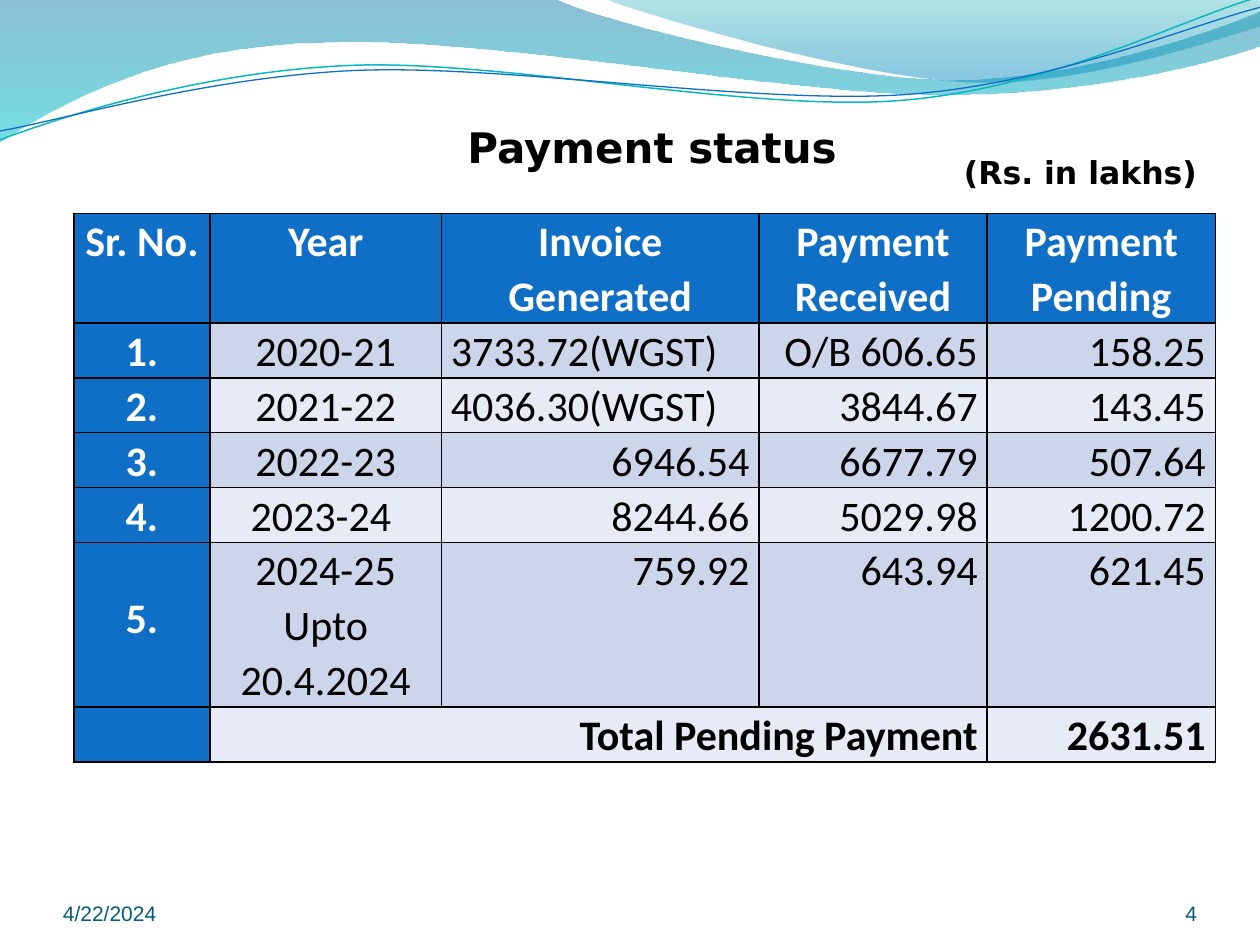
"""Build the payment status slide with its wave banner and invoice table."""
from lxml.etree import SubElement
from pptx import Presentation
from pptx.dml.color import RGBColor
from pptx.enum.text import MSO_ANCHOR, PP_ALIGN
from pptx.oxml import parse_xml
from pptx.oxml.ns import nsdecls, qn
from pptx.util import Cm, Pt

LEFT, CENTER, RIGHT = PP_ALIGN.LEFT, PP_ALIGN.CENTER, PP_ALIGN.RIGHT
BLUE, BLACK, WHITE, TEAL = "0F6FC6", "000000", "FFFFFF", "045D75"
BANDS = ("E7EBF5", "CCD5EA")

HEADINGS = ["Sr. No.", "Year", "Invoice Generated", "Payment Received", "Payment Pending"]
PAYMENTS = [
    ["1.", "2020-21", "3733.72(WGST)", "O/B 606.65", "158.25"],
    ["2.", "2021-22", "4036.30(WGST)", "3844.67", "143.45"],
    ["3.", "2022-23", "6946.54", "6677.79", "507.64"],
    ["4.", "2023-24 ", "8244.66", "5029.98", "1200.72"],
    ["5.", "2024-25\nUpto 20.4.2024", "759.92", "643.94", "621.45"],
]
TOTAL = ["", "Total Pending Payment", "", "", "2631.51"]
COLUMN_WIDTHS = [2.74, 4.67, 6.4, 4.6, 4.6]
ROW_LINES = [2, 1, 1, 1, 1, 3, 1]
LINE_HEIGHT = 1.1

CAPTIONS = [
    ("4/22/2024", (1.27, 17.65, 5.92, 1.02), 12, "Arial", TEAL, LEFT, MSO_ANCHOR.BOTTOM, 0),
    ("4", (22.02, 17.65, 2.11, 1.02), 12, "Arial", TEAL, RIGHT, MSO_ANCHOR.BOTTOM, 0),
    ("Payment status", (4.6, 2.32, 17.09, 1.27), 24, "DejaVu Sans", BLACK, CENTER, MSO_ANCHOR.MIDDLE, 0.25),
    ("(Rs. in lakhs)", (19.02, 2.97, 5.36, 1.02), 18, "DejaVu Sans", BLACK, RIGHT, MSO_ANCHOR.TOP, 0.25),
]

WAVES = [
    ([(0, -0.03), (11.18, -0.03), (12.09, 0.43, 16.87, 1.6, 19.25, 1.6),
      (21.67, 1.6, 24.33, 0.66, 25.4, 0.23), (25.43, 0.91),
      (24.97, 1.12, 22.1, 1.93, 18.95, 1.91), (15.8, 1.91, 9.7, 0.71, 6.53, 0.86),
      (3.28, 0.89, 1.17, 2.11, -0.03, 2.87)],
     [(0, "0074A1", 45), (1, "00C6CF", 55)]),
    ([(12.17, -0.03), (12.93, 0.28, 17.32, 1.57, 19.53, 1.65),
      (21.74, 1.75, 24.41, 0.81, 25.4, 0.53), (25.4, 0)],
     [(0, "00A1A9", 30), (0.8, "008BBF", 45)]),
]
RIPPLES = [
    ([(0, 2.82), (1.22, 2.36, 4.01, 1.45, 7.04, 1.32),
      (10.03, 1.19, 15.06, 2.26, 18.11, 2.03), (21.16, 1.8, 23.83, 0.38, 25.35, -0.05)],
     "0AB8BF", 0.85),
    ([(0, 2.64), (1.19, 2.44, 4.17, 1.55, 7.19, 1.42),
      (10.24, 1.3, 15.16, 2.11, 18.21, 1.91), (21.23, 1.7, 23.9, 0.53, 25.4, 0.15)],
     BLUE, 0.75),
]


def rgb(code):
    return RGBColor.from_string(code)


def add_curve(slide, outline, closed):
    points = [(Cm(x), Cm(y)) for segment in outline
              for x, y in zip(segment[::2], segment[1::2])]
    builder = slide.shapes.build_freeform(*points[0])
    builder.add_line_segments(points[1:], close=closed)
    curve = builder.convert_to_shape()
    curve.shadow.inherit = False
    corners = iter(list(curve.element.iter(qn("a:lnTo"))))
    for segment in outline[1:]:
        bend = next(corners)
        if len(segment) == 6:
            bend.tag = qn("a:cubicBezTo")
            for corner in (next(corners), next(corners)):
                bend.append(corner[0])
                corner.getparent().remove(corner)
    return curve


def add_wave(slide, outline, stops):
    wave = add_curve(slide, outline, True)
    wave.line.fill.background()
    wave.fill.gradient()
    wave.fill.gradient_angle = 270
    for stop, (position, color, _) in zip(wave.fill.gradient_stops, stops):
        stop.position = position
        stop.color.rgb = rgb(color)
    for tint, (_, _, opacity) in zip(wave.element.iter(qn("a:srgbClr")), stops):
        SubElement(tint, qn("a:alpha"), val=str(opacity * 1000))


def add_ripple(slide, outline, color, weight):
    ripple = add_curve(slide, outline, False)
    ripple.fill.background()
    ripple.line.color.rgb = rgb(color)
    ripple.line.width = Pt(weight)


def style(paragraph, size, face, color, bold, alignment):
    paragraph.alignment = alignment
    font = paragraph.font
    font.size, font.name, font.bold = Pt(size), face, bold
    font.color.rgb = rgb(color)


def add_caption(slide, words, place, size, face, color, alignment, anchor, inset):
    frame = slide.shapes.add_textbox(*map(Cm, place)).text_frame
    frame.margin_left = frame.margin_right = Cm(inset)
    frame.margin_top = frame.margin_bottom = Cm(inset / 2)
    frame.vertical_anchor = anchor
    frame.word_wrap = True
    frame.text = words
    style(frame.paragraphs[0], size, face, color, face != "Arial", alignment)


def add_borders(cell):
    for index, side in enumerate(("lnL", "lnR", "lnT", "lnB")):
        cell._tc.get_or_add_tcPr().insert(index, parse_xml(
            f'<a:{side} {nsdecls("a")} w="12700"><a:solidFill>'
            f'<a:srgbClr val="{BLACK}"/></a:solidFill></a:{side}>'))


def cell_alignment(row, column, words):
    if row == 0 or column == 0:
        return CENTER
    if words.endswith("(WGST)"):
        return LEFT
    return CENTER if column == 1 and row <= len(PAYMENTS) else RIGHT


def add_payments(slide):
    records = [HEADINGS, *PAYMENTS, TOTAL]
    last = len(records) - 1
    table = slide.shapes.add_table(
        len(records), len(HEADINGS), Cm(1.49), Cm(4.3),
        Cm(sum(COLUMN_WIDTHS)), Cm(LINE_HEIGHT * sum(ROW_LINES))).table
    for column, width in zip(table.columns, COLUMN_WIDTHS):
        column.width = Cm(width)
    for row, lines in zip(table.rows, ROW_LINES):
        row.height = Cm(LINE_HEIGHT * lines)
    for r, record in enumerate(records):
        for c, words in enumerate(record):
            cell = table.cell(r, c)
            heading = r == 0 or c == 0
            cell.text = words
            cell.margin_left = cell.margin_right = Cm(0.19)
            cell.margin_top = cell.margin_bottom = 0
            cell.fill.solid()
            cell.fill.fore_color.rgb = rgb(BLUE if heading else BANDS[r % 2])
            add_borders(cell)
            for paragraph in cell.text_frame.paragraphs:
                style(paragraph, 24, "Calibri", WHITE if heading else BLACK,
                      heading or r == last, cell_alignment(r, c, words))
                paragraph.line_spacing = 2.0 if words == "5." else 1.07
    table.cell(last, 1).merge(table.cell(last, 3))


def main():
    deck = Presentation()
    deck.slide_width, deck.slide_height = Cm(25.4), Cm(19.05)
    slide = deck.slides.add_slide(deck.slide_layouts[6])
    for wave in WAVES:
        add_wave(slide, *wave)
    for ripple in RIPPLES:
        add_ripple(slide, *ripple)
    add_payments(slide)
    for caption in CAPTIONS:
        add_caption(slide, *caption)
    deck.save("out.pptx")


if __name__ == "__main__":
    main()
